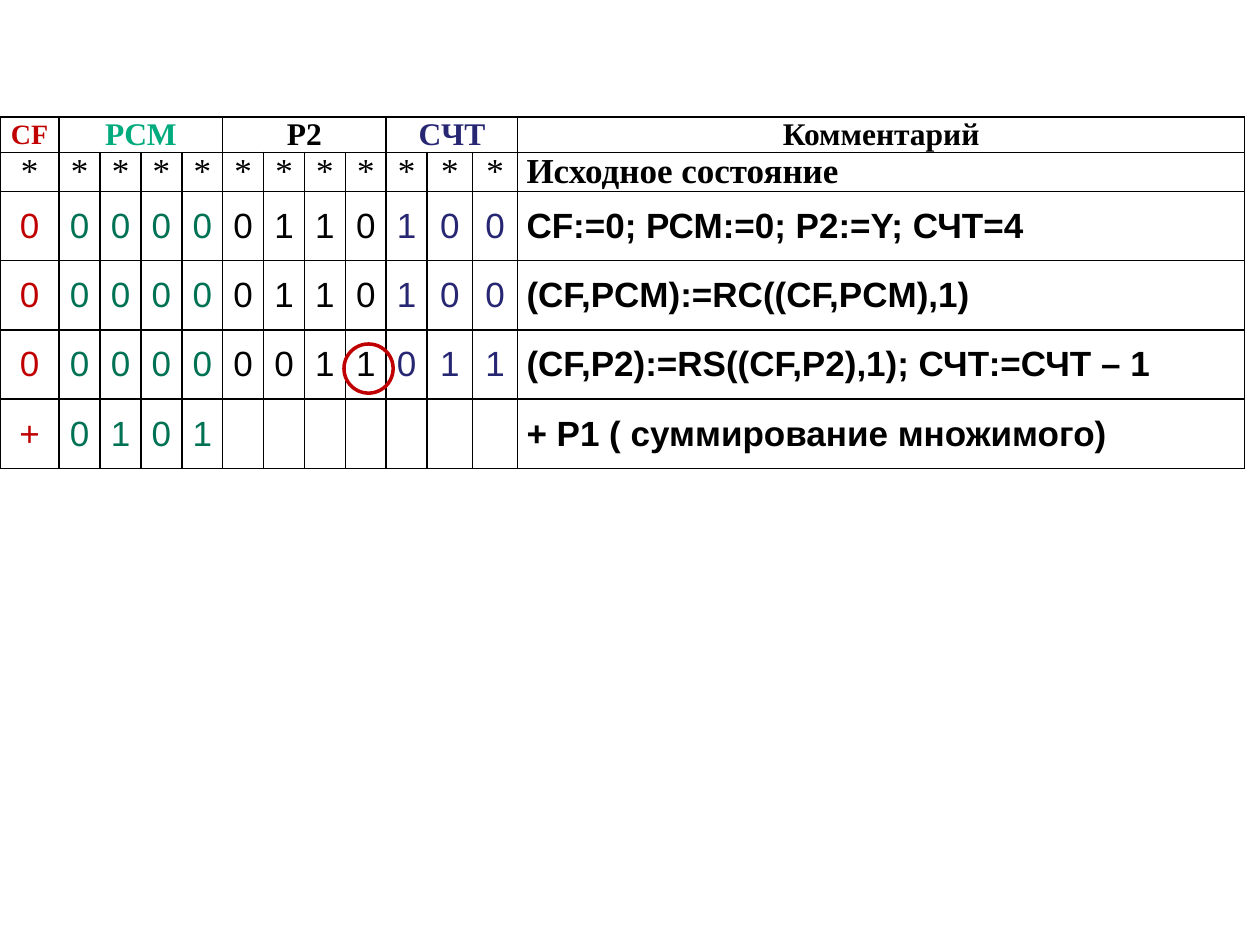
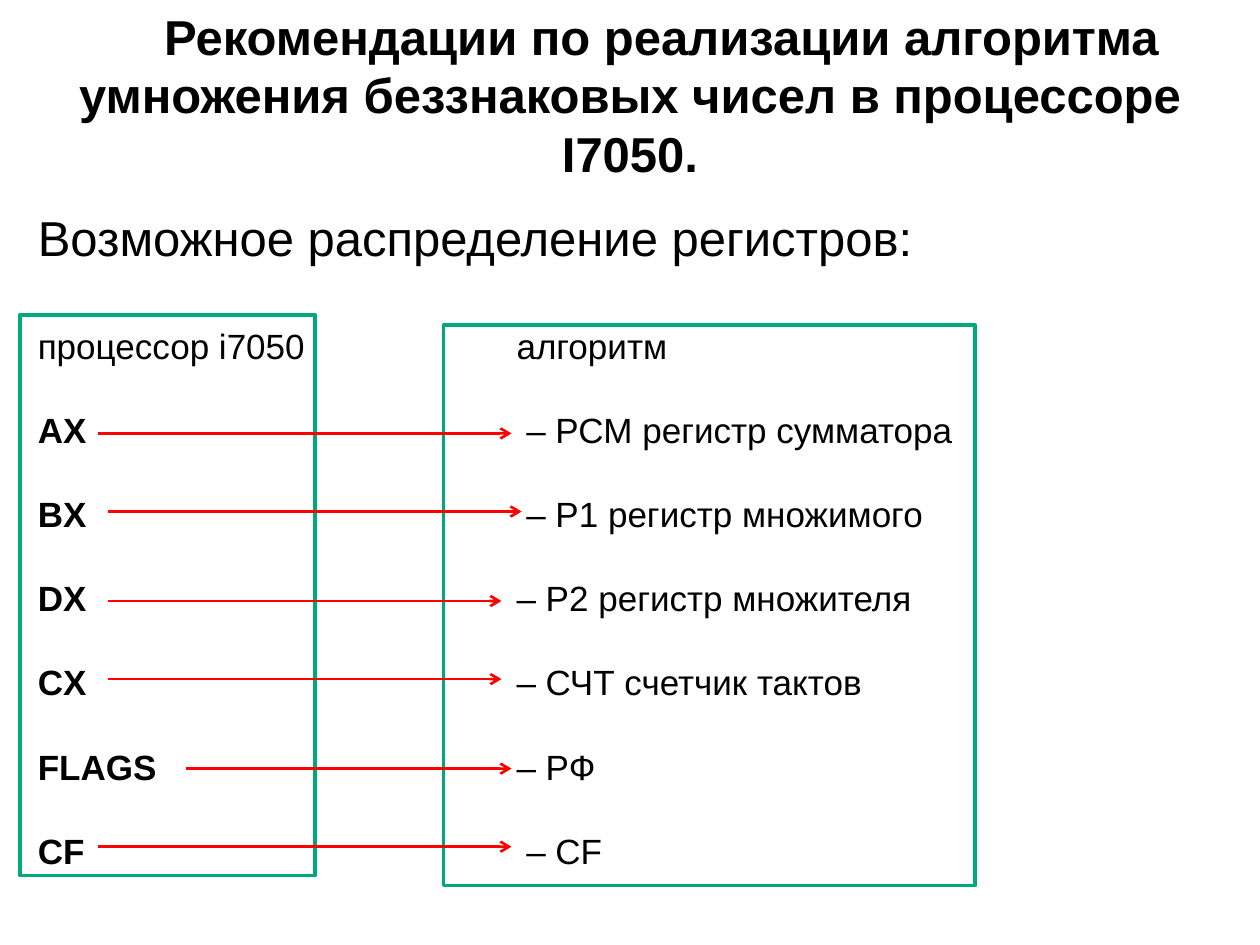
"""Build two slides on unsigned multiplication: a register trace and a register map."""
from lxml import etree
from pptx import Presentation
from pptx.dml.color import RGBColor
from pptx.enum.shapes import MSO_CONNECTOR, MSO_SHAPE
from pptx.enum.text import MSO_ANCHOR, PP_ALIGN
from pptx.oxml.ns import qn
from pptx.util import Inches, Pt

MIDDLE = MSO_ANCHOR.MIDDLE
CENTER, LEFT = PP_ALIGN.CENTER, PP_ALIGN.LEFT
RECTANGLE, OVAL = MSO_SHAPE.RECTANGLE, MSO_SHAPE.OVAL
STRAIGHT = MSO_CONNECTOR.STRAIGHT

COLORS = {
    "black": "000000",
    "flag": "C00000",
    "sum_head": "00AB7E",
    "sum": "007254",
    "counter": "262673",
    "frame": "00A97C",
    "arrow": "FF0000",
}
SANS, SERIF = "Arial", "Times New Roman"


def add_span(para, text, size, color="black", bold=False, font=SANS):
    span = para.add_run()
    span.text = text
    span.font.size = Pt(size)
    span.font.name = font
    span.font.bold = bold
    span.font.color.rgb = RGBColor.from_string(COLORS[color])


def add_outline(page, kind, left, top, width, height, color):
    shape = page.shapes.add_shape(kind, Inches(left), Inches(top), Inches(width), Inches(height))
    shape.shadow.inherit = False
    shape.fill.background()
    shape.line.color.rgb = RGBColor.from_string(COLORS[color])
    shape.line.width = Pt(2)


deck = Presentation()
deck.slide_width, deck.slide_height = Inches(10), Inches(7.5)
blank = deck.slide_layouts[6]

trace_page = deck.slides.add_slide(blank)
table_width, flag_width, counter_width, comment_width = 9.88, 0.47, 0.36, 5.77
bit_width = (table_width - flag_width - 2 * counter_width - comment_width) / 9
column_widths = [flag_width] + [bit_width] * 9 + [counter_width] * 2 + [comment_width]
row_heights = [0.28] * 2 + [0.55] * 4
headings = [
    ("CF", 0, 1, "flag", 16),
    ("PCM", 1, 4, "sum_head", 18),
    ("P2", 5, 4, "black", 18),
    ("CЧТ", 9, 3, "counter", 18),
    ("Комментарий", 12, 1, "black", 18),
]
steps = [
    ("************", "Исходное состояние"),
    ("000000110100", "CF:=0; РСМ:=0; Р2:=Y; СЧТ=4"),
    ("000000110100", "(CF,PCM):=RС((CF,PCM),1)"),
    ("000000011011", "(CF,P2):=RS((CF,P2),1); СЧТ:=СЧТ – 1"),
    ("+0101", "+ P1 ( суммирование множимого)"),
]
bit_colors = ["flag"] + ["sum"] * 4 + ["black"] * 4 + ["counter"] * 3

table = trace_page.shapes.add_table(
    len(row_heights), len(column_widths),
    Inches(0), Inches(0.93), Inches(table_width), Inches(sum(row_heights)),
).table
table.first_row = table.horz_banding = False
for column, width in zip(table.columns, column_widths):
    column.width = Inches(width)
for row, height in zip(table.rows, row_heights):
    row.height = Inches(height)

for cell in table.iter_cells():
    cell.vertical_anchor = MIDDLE
    cell.margin_left = cell.margin_right = Inches(0.07)
    cell.margin_top = cell.margin_bottom = 0
    para = cell.text_frame.paragraphs[0]
    para.alignment = CENTER
    para.space_after = Pt(3)
    properties = cell._tc.get_or_add_tcPr()
    for side in ("a:lnL", "a:lnR", "a:lnT", "a:lnB"):
        border = etree.SubElement(properties, qn(side), w=str(Pt(1)))
        fill = etree.SubElement(border, qn("a:solidFill"))
        etree.SubElement(fill, qn("a:srgbClr"), val=COLORS["black"])
    cell.fill.background()

for text, first, count, color, size in headings:
    cell = table.cell(0, first)
    if count > 1:
        cell.merge(table.cell(0, first + count - 1))
    add_span(cell.text_frame.paragraphs[0], text, size, color, True, SERIF)

for row_number, (bits, comment) in enumerate(steps, 1):
    initial = row_number == 1
    font = SERIF if initial else SANS
    for column_number, bit in enumerate(bits):
        color = "black" if initial else bit_colors[column_number]
        para = table.cell(row_number, column_number).text_frame.paragraphs[0]
        add_span(para, bit, 20, color, font=font)
    para = table.cell(row_number, 12).text_frame.paragraphs[0]
    para.alignment = LEFT
    add_span(para, comment, 20, bold=True, font=font)

add_outline(trace_page, OVAL, 2.73, 2.73, 0.39, 0.39, "flag")

map_page = deck.slides.add_slide(blank)
title_box = map_page.shapes.add_textbox(0, 0, Inches(10), Inches(1.51))
title_box.text_frame.word_wrap = True
para = title_box.text_frame.paragraphs[0]
para.alignment = CENTER
para.line_spacing = Pt(33.5)
para._p.get_or_add_pPr().set("indent", str(Inches(0.5)))
add_span(
    para,
    "Рекомендации по реализации алгоритма умножения беззнаковых чисел в процессоре I7050.",
    28,
    bold=True,
)

register_lines = [
    ("", "Возможное распределение регистров:", 28, 0),
    ("", "процессор i7050\tалгоритм", 20, 33.5),
    ("AX \t", " – РСМ регистр сумматора", 20, 24),
    ("BX \t", " – Р1 регистр множимого", 20, 24),
    ("DX \t", "– Р2 регистр множителя", 20, 24),
    ("CX \t", "– СЧТ счетчик тактов", 20, 24),
    ("FLAGS", " \t– РФ", 20, 24),
    ("CF \t", " – CF", 20, 24),
]
register_box = map_page.shapes.add_textbox(0, Inches(1.57), Inches(10), Inches(5.42))
frame = register_box.text_frame
frame.word_wrap = True
frame.vertical_anchor = MIDDLE
frame.margin_left = Inches(0.3)
for number, (register, role, size, gap) in enumerate(register_lines):
    para = frame.add_paragraph() if number else frame.paragraphs[0]
    para.line_spacing = Pt(33.5 if size == 28 else 24)
    if gap:
        para.space_before = Pt(gap)
    tabs = etree.SubElement(para._p.get_or_add_pPr(), qn("a:tabLst"))
    etree.SubElement(tabs, qn("a:tab"), pos=str(Inches(3.8)), algn="l")
    if register:
        add_span(para, register, size, bold=True)
    add_span(para, role, size)

add_outline(map_page, RECTANGLE, 0.16, 2.5, 2.34, 4.45, "frame")
add_outline(map_page, RECTANGLE, 3.52, 2.58, 4.22, 4.45, "frame")

arrows = [
    (0.78, 4.06, 3.44),
    (0.86, 4.14, 4.06),
    (0.86, 3.98, 4.77),
    (0.86, 3.98, 5.39),
    (1.48, 4.06, 6.1),
    (0.78, 4.06, 6.72),
]
for start, end, height in arrows:
    arrow = map_page.shapes.add_connector(
        STRAIGHT, Inches(start), Inches(height), Inches(end), Inches(height)
    )
    arrow.line.color.rgb = RGBColor.from_string(COLORS["arrow"])
    arrow.line.width = Pt(1.5)
    properties = arrow._element.spPr
    etree.SubElement(properties.find(qn("a:ln")), qn("a:tailEnd"), type="arrow")
    etree.SubElement(properties, qn("a:effectLst"))

deck.save("out.pptx")
